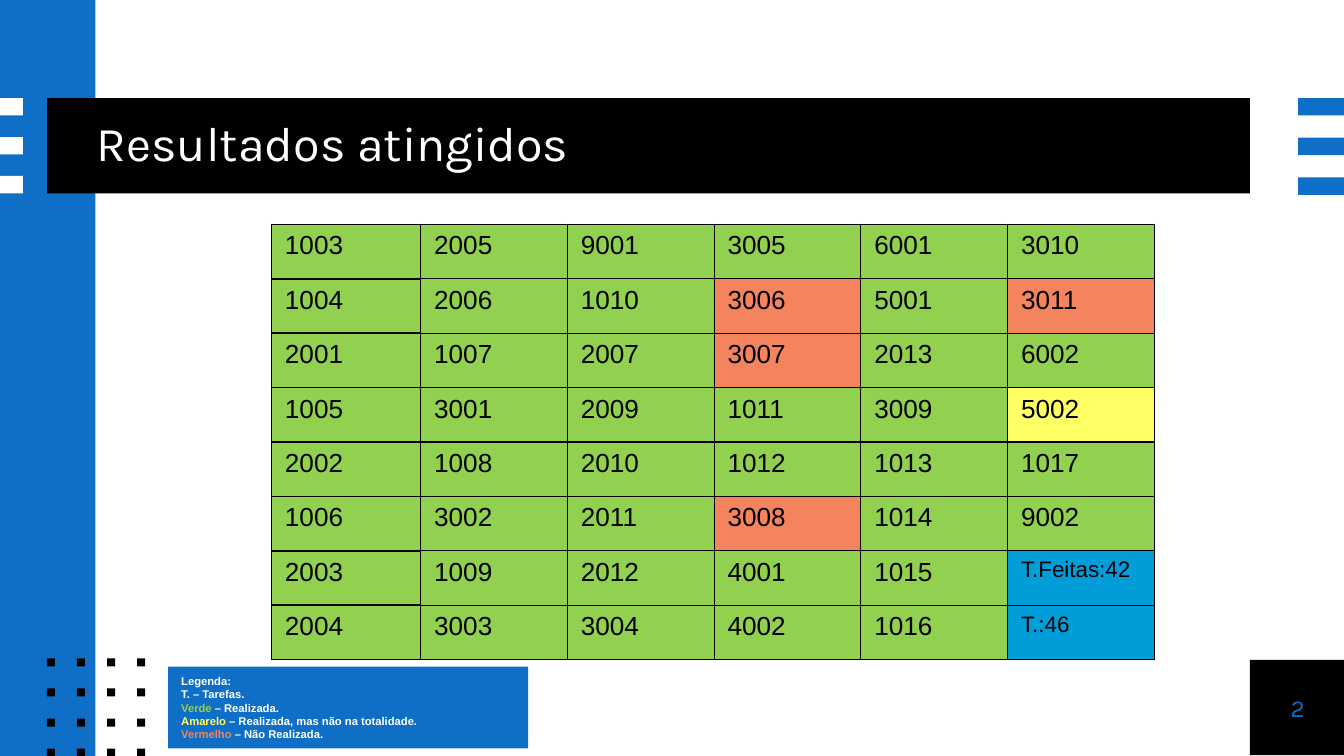
from dataclasses import dataclass

from lxml import etree
from pptx import Presentation
from pptx.dml.color import RGBColor
from pptx.enum.shapes import MSO_SHAPE
from pptx.enum.text import MSO_ANCHOR, PP_ALIGN
from pptx.oxml.ns import qn
from pptx.util import Inches, Pt

RECTANGLE = MSO_SHAPE.RECTANGLE
MIDDLE = MSO_ANCHOR.MIDDLE
LEFT, CENTER = PP_ALIGN.LEFT, PP_ALIGN.CENTER
SLIDE_WIDTH = 10
SLIDE_HEIGHT = SLIDE_WIDTH * 9 / 16


@dataclass(frozen=True)
class Theme:
    """Colours, fonts and type sizes of the slide."""
    black: str = "000000"
    white: str = "FFFFFF"
    blue: str = "0F6FC6"
    total: str = "009DD9"
    done: str = "92D050"
    partial: str = "FFFF66"
    missed: str = "F3845D"
    heading_font: str = "Karla"
    body_font: str = "Arial"
    title_size: int = 26
    number_size: int = 13
    cell_size: int = 14
    total_size: int = 12
    legend_size: int = 6


THEME = Theme()

TASKS = [
    ["1003", "2005", "9001", "3005", "6001", "3010"],
    ["1004", "2006", "1010", "3006", "5001", "3011"],
    ["2001", "1007", "2007", "3007", "2013", "6002"],
    ["1005", "3001", "2009", "1011", "3009", "5002"],
    ["2002", "1008", "2010", "1012", "1013", "1017"],
    ["1006", "3002", "2011", "3008", "1014", "9002"],
    ["2003", "1009", "2012", "4001", "1015", "T.Feitas:42"],
    ["2004", "3003", "3004", "4002", "1016", "T.:46"],
]
MISSED_TASKS = {"3006", "3007", "3008", "3011"}
PARTIAL_TASKS = {"5002"}
LEGEND = [
    ("Legenda:\vT. – Tarefas.\v", "Verde ", THEME.done, "– Realizada."),
    ("", "Amarelo ", THEME.partial, "– Realizada, mas não na totalidade."),
    ("", "Vermelho ", THEME.missed, "– Não Realizada."),
]


def format_run(run, font, size, color, bold=False):
    """Set the font, size, colour and weight of a run."""
    run.font.name = font
    run.font.size = Pt(size)
    run.font.bold = bold
    run.font.color.rgb = RGBColor.from_string(color)


def add_block(slide, left, top, width, height, color):
    """Add a plain filled rectangle."""
    shape = slide.shapes.add_shape(
        RECTANGLE, Inches(left), Inches(top), Inches(width), Inches(height))
    shape.shadow.inherit = False
    shape.fill.solid()
    shape.fill.fore_color.rgb = RGBColor.from_string(color)
    shape.line.fill.background()
    return shape


def add_label(slide, box, text, size, color, alignment):
    """Add a vertically centred heading text without margins."""
    shape = slide.shapes.add_textbox(*map(Inches, box))
    frame = shape.text_frame
    frame.word_wrap = True
    frame.vertical_anchor = MIDDLE
    frame.margin_left = frame.margin_right = 0
    frame.margin_top = frame.margin_bottom = 0
    frame.text = text
    paragraph = frame.paragraphs[0]
    paragraph.alignment = alignment
    format_run(paragraph.runs[0], THEME.heading_font, size, color)
    return paragraph


def add_stripes(slide, left, top, width, height, color):
    """Add three stripes spread evenly over the height of the box."""
    thickness = 0.13
    pitch = (height - thickness) / 2
    for index in range(3):
        add_block(slide, left, top + index * pitch, width, thickness, color)


def add_dots(slide, left, top, side):
    """Add a four by four grid of small squares."""
    dot = 0.06
    pitch = (side - dot) / 3
    for row in range(4):
        for column in range(4):
            add_block(slide, left + column * pitch, top + row * pitch,
                      dot, dot, THEME.black)


def add_title_band(slide, left, top, width, height):
    """Add the black band with the slide title."""
    add_block(slide, left, top, width, height, THEME.black)
    indent = 0.37
    box = (left + indent, top, width - indent, height)
    paragraph = add_label(slide, box, "Resultados atingidos",
                          THEME.title_size, THEME.white, LEFT)
    paragraph.line_spacing = 0.9


def add_page_number(slide, left, top, side):
    """Add the black square with the page number."""
    add_block(slide, left, top, side, side, THEME.black)
    add_label(slide, (left, top, side, side), "2",
              THEME.number_size, THEME.blue, CENTER)


def set_borders(cell, width, left_width):
    """Draw black borders around a cell, the left one with its own width."""
    properties = cell._tc.get_or_add_tcPr()
    sides = {"a:lnL": left_width, "a:lnR": width, "a:lnT": width, "a:lnB": width}
    for index, (side, side_width) in enumerate(sides.items()):
        line = etree.Element(qn(side), w=str(Pt(side_width)))
        fill = etree.SubElement(line, qn("a:solidFill"))
        etree.SubElement(fill, qn("a:srgbClr"), val=THEME.black)
        properties.insert(index, line)


def task_color(task):
    """Return the fill that shows the state of a task."""
    if task.startswith("T."):
        return THEME.total
    if task in MISSED_TASKS:
        return THEME.missed
    return THEME.partial if task in PARTIAL_TASKS else THEME.done


def add_task_table(slide, left, top, width, height):
    """Add the table of tasks coloured by state."""
    rows, columns = len(TASKS), len(TASKS[0])
    table = slide.shapes.add_table(
        rows, columns, Inches(left), Inches(top),
        Inches(width), Inches(height)).table
    table.first_row = table.horz_banding = False
    first_width = 1.11
    other_width = (width - first_width) / (columns - 1)
    for index, column in enumerate(table.columns):
        column.width = Inches(other_width if index else first_width)
    for row_index, tasks in enumerate(TASKS):
        for column_index, task in enumerate(tasks):
            cell = table.cell(row_index, column_index)
            cell.text = task
            color = task_color(task)
            size = THEME.total_size if color == THEME.total else THEME.cell_size
            format_run(cell.text_frame.paragraphs[0].runs[0],
                       THEME.body_font, size, THEME.black)
            cell.fill.solid()
            cell.fill.fore_color.rgb = RGBColor.from_string(color)
            set_borders(cell, 0.75 if column_index else 1,
                        0.75 if column_index > 1 else 1)


def add_legend(slide, left, top, width, height):
    """Add the blue box that explains the colours."""
    frame = add_block(slide, left, top, width, height, THEME.blue).text_frame
    frame.word_wrap = True
    frame.vertical_anchor = MIDDLE
    for index, (lead, name, color, meaning) in enumerate(LEGEND):
        paragraph = frame.add_paragraph() if index else frame.paragraphs[0]
        paragraph.alignment = LEFT
        paragraph.text = lead
        for text in (name, meaning):
            paragraph.add_run().text = text
        for run in paragraph.runs:
            run_color = color if run.text == name else THEME.white
            format_run(run, THEME.body_font, THEME.legend_size, run_color, True)
        for line_break in paragraph._p.iter(qn("a:br")):
            etree.SubElement(line_break, qn("a:rPr"),
                             sz=str(THEME.legend_size * 100))


def build_results_slide(presentation):
    """Build the slide with the achieved results."""
    slide = presentation.slides.add_slide(presentation.slide_layouts[6])
    add_block(slide, 0, 0, 0.71, SLIDE_HEIGHT, THEME.blue)
    add_title_band(slide, 0.35, 0.73, 8.95, 0.71)
    add_stripes(slide, 0, 0.73, 0.17, 0.71, THEME.white)
    add_stripes(slide, 9.66, 0.73, 0.34, 0.72, THEME.blue)
    add_dots(slide, 0.35, 4.9, 0.73)
    add_page_number(slide, 9.3, 4.91, 0.71)
    add_task_table(slide, 2.02, 1.67, 6.57, 3.24)
    add_legend(slide, 1.25, 4.96, 2.68, 0.61)


presentation = Presentation()
presentation.slide_width = Inches(SLIDE_WIDTH)
presentation.slide_height = Inches(SLIDE_HEIGHT)
build_results_slide(presentation)
presentation.save("out.pptx")
